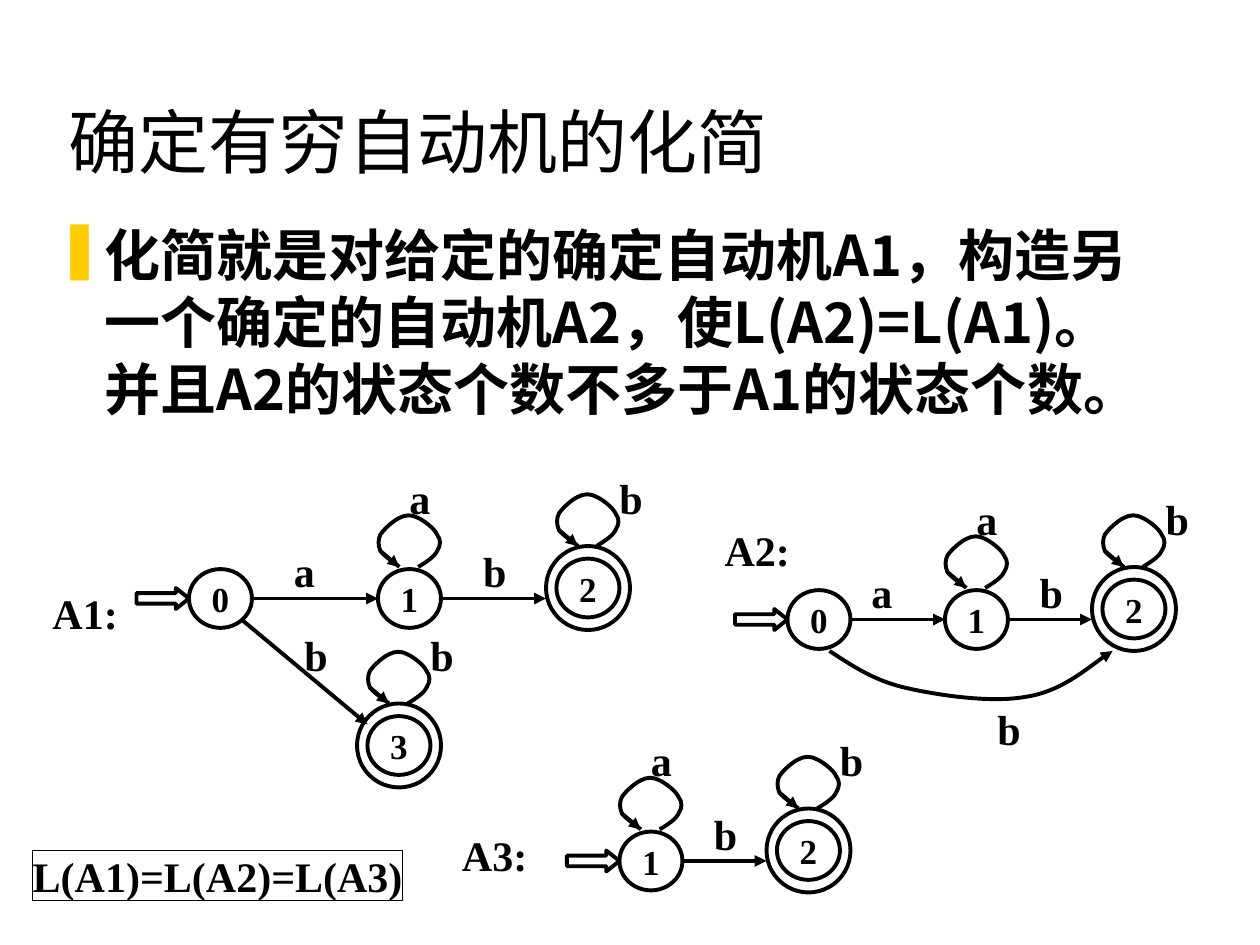
"""Draw the slide on minimising deterministic finite automata."""
from dataclasses import dataclass

from lxml.etree import SubElement
from pptx import Presentation
from pptx.dml.color import RGBColor
from pptx.enum.shapes import MSO_CONNECTOR as Connector, MSO_SHAPE as Shape
from pptx.enum.text import MSO_ANCHOR as Anchor, PP_ALIGN as Align
from pptx.oxml.ns import qn
from pptx.slide import Slide
from pptx.util import Pt

LOOP = [(23, 30), (28, 27), (32.4, 24), (33.8, 20.9), (36, 17.5), (36, 14.4),
        (33.8, 11.5), (32.4, 8.2), (26.6, 3.7), (23, 2), (19.4, 0), (15.8, 0),
        (12.2, 2), (8.6, 3.7), (3.6, 8.2), (1.4, 11.5), (0, 14.4), (0, 17.5),
        (1.4, 20.9), (3.6, 24), (10.8, 28.5), (12.2, 30)]
DETOUR = [(474, 372), (486.7, 380.2), (499, 388.8), (517.7, 393.1), (536.4, 397.4),
          (566.6, 401.8), (586.1, 398.2), (606.2, 395.3), (627.8, 376.6), (635.8, 372)]
CJK = "Noto Sans CJK SC"


def color(value):
    return RGBColor.from_string(value)


def write(frame, text, size=24, font="Times New Roman", east=CJK, ink="000000", bold=True,
          align=Align.LEFT, anchor=Anchor.TOP, margins=(0, 0, 0, 0), wrap=False,
          bullet=None, indent=0):
    frame.word_wrap = wrap
    frame.vertical_anchor = anchor
    (frame.margin_left, frame.margin_top,
     frame.margin_right, frame.margin_bottom) = map(Pt, margins)
    paragraph = frame.paragraphs[0]
    paragraph.alignment = align
    if bullet:
        mark, mark_color = bullet
        props = paragraph._p.get_or_add_pPr()
        props.set("marL", str(Pt(indent)))
        props.set("indent", str(-Pt(indent)))
        SubElement(SubElement(props, qn("a:buClr")), qn("a:srgbClr"), val=mark_color)
        SubElement(props, qn("a:buChar"), char=mark)
    run = paragraph.add_run()
    run.text = text
    run.font.size = Pt(size)
    run.font.name = font
    run.font.bold = bold
    run.font.color.rgb = color(ink)
    SubElement(run._r.get_or_add_rPr(), qn("a:ea"), typeface=east)


def bend(shape):
    """Turn every three straight segments of an outline into one cubic curve."""
    segments = list(shape.element.iter(qn("a:lnTo")))
    outline = segments[0].getparent()
    for first in range(0, len(segments), 3):
        cubic = SubElement(outline, qn("a:cubicBezTo"))
        for segment in segments[first:first + 3]:
            cubic.append(segment[0])
            outline.remove(segment)


@dataclass
class AutomatonSlide:
    """Hold the drawing style and the slide being drawn."""
    slide: Slide
    ink: str = "000000"
    stroke: float = 2.25
    radius: float = 18
    half_height: float = 16.8
    ring: float = 24

    def outline(self, shape, width=None, arrow=False):
        shape.line.color.rgb = color(self.ink)
        shape.line.width = Pt(width or self.stroke)
        if arrow:
            SubElement(shape.element.spPr.find(qn("a:ln")), qn("a:tailEnd"), type="triangle")

    def text(self, x, y, width, height, text, **style):
        box = self.slide.shapes.add_textbox(Pt(x), Pt(y), Pt(width), Pt(height))
        write(box.text_frame, text, **style)

    def label(self, x, y, text):
        self.text(x, y, {"a": 12, "b": 13.4}.get(text, 37.4), 28.8, text)

    def figure(self, kind, x, y, width, height, stroke=None):
        shape = self.slide.shapes.add_shape(kind, Pt(x), Pt(y), Pt(width), Pt(height))
        shape.shadow.inherit = False
        shape.fill.background()
        self.outline(shape, stroke)
        return shape

    def arrow(self, start, end):
        line = self.slide.shapes.add_connector(Connector.STRAIGHT, *map(Pt, start + end))
        SubElement(line.element.spPr, qn("a:effectLst"))
        self.outline(line, arrow=True)

    def curve(self, points, arrow=False):
        path = [(Pt(x), Pt(y)) for x, y in points]
        builder = self.slide.shapes.build_freeform(*path[0], scale=1.0)
        builder.add_line_segments(path[1:], close=False)
        shape = builder.convert_to_shape()
        bend(shape)
        shape.shadow.inherit = False
        shape.fill.background()
        self.outline(shape, arrow=arrow)

    def loop(self, x, y, symbol, offset):
        left, top = x - 18, y - 30
        self.arrow((left + 1.4, top + 20.9), (left + 12.2, top + 30))
        self.curve([(left + dx, top + dy) for dx, dy in LOOP])
        self.label(x + offset[0], y + offset[1], symbol)

    def state(self, x, y, name, loop=None):
        node = self.figure(Shape.OVAL, x - self.radius, y - self.half_height,
                           2 * self.radius, 2 * self.half_height)
        write(node.text_frame, name, size=20, align=Align.CENTER, anchor=Anchor.MIDDLE, wrap=True)
        if loop:
            self.loop(x, y - self.radius, loop, (0, -54))

    def accepting(self, x, y, name, loop):
        self.state(x, y, name)
        self.figure(Shape.OVAL, x - self.ring, y - self.ring, 2 * self.ring, 2 * self.ring)
        self.loop(x, y - self.ring, loop, (18, -42))

    def entry(self, x, y):
        arrow = self.figure(Shape.RIGHT_ARROW, x - self.radius - 30, y - 6, 30, 12)
        arrow.adjustments[1] = 0.625

    def edge(self, start, end, y, symbol, symbol_x):
        self.arrow((start, y), (end, y))
        self.label(symbol_x, y - 30, symbol)

    def tail_pair(self, one, two, y, symbol_x):
        """Draw state 1 with its edge to accepting state 2."""
        self.state(one, y, "1", loop="a")
        self.edge(one + self.radius, two - self.ring, y, "b", symbol_x)
        self.accepting(two, y - 6, "2", loop="b")


def main():
    deck = Presentation()
    deck.slide_width, deck.slide_height = Pt(720), Pt(540)
    page = AutomatonSlide(deck.slides.add_slide(deck.slide_layouts[6]))

    inset = (7.2, 3.6, 7.2, 3.6)
    page.text(32, 18, 612, 90, "确定有穷自动机的化简", size=40, font="Montserrat", bold=False,
              anchor=Anchor.BOTTOM, margins=inset, wrap=True)
    page.text(25.5, 122.4, 643.7, 328.3,
              "化简就是对给定的确定自动机A1，构造另一个确定的自动机A2，使L(A2)=L(A1)。"
              "并且A2的状态个数不多于A1的状态个数。",
              size=32, font=CJK, margins=inset, wrap=True, bullet=("❚", "FFCC00"), indent=27)

    page.label(30, 336, "A1:")
    page.entry(126, 342)
    page.state(126, 342, "0")
    page.edge(144, 216, 342, "a", 168)
    page.tail_pair(234, 336, 342, 276)
    page.accepting(228, 426, "3", loop="b")
    page.arrow((138, 354), (210, 414))
    page.label(174, 360, "b")

    page.label(414, 300, "A2:")
    page.entry(468, 354)
    page.state(468, 354, "0")
    page.edge(486, 540, 354, "a", 498)
    page.tail_pair(558, 648, 354, 594)
    page.curve(DETOUR, arrow=True)
    page.label(570, 402, "b")

    page.label(264, 474, "A3:")
    page.entry(372, 492)
    page.tail_pair(372, 462, 492, 408)

    equality = page.figure(Shape.RECTANGLE, 18.7, 486, 211.2, 28.8, stroke=0.75)
    write(equality.text_frame, "L(A1)=L(A2)=L(A3)")
    deck.save("out.pptx")


if __name__ == "__main__":
    main()
